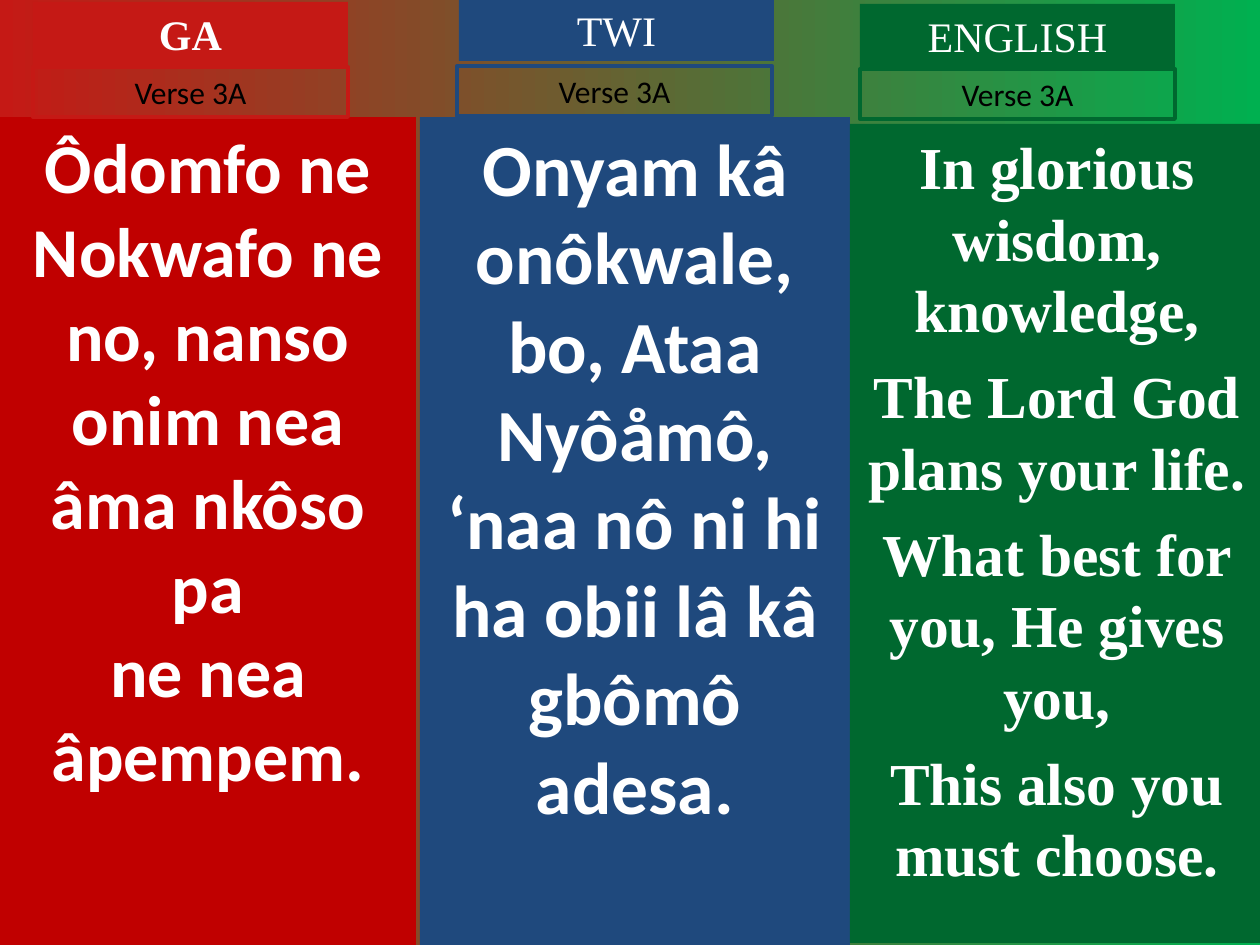
from pptx import Presentation
from pptx.dml.color import RGBColor
from pptx.enum.shapes import MSO_SHAPE
from pptx.enum.text import MSO_ANCHOR, PP_ALIGN
from pptx.util import Emu, Pt

RECTANGLE = MSO_SHAPE.RECTANGLE
TOP = MSO_ANCHOR.TOP
CENTER = PP_ALIGN.CENTER

EMU_PER_PX = 914400 / 126
BLANK_LAYOUT = 6
TAB_WIDTH = 315
TITLE_HEIGHT = 63
VERSE_HEIGHT = 50

WHITE = RGBColor(0xFF, 0xFF, 0xFF)
BLACK = RGBColor(0x00, 0x00, 0x00)
BRIGHT_RED = RGBColor(0xC5, 0x19, 0x15)
BRIGHT_GREEN = RGBColor(0x00, 0xB0, 0x50)
RED = RGBColor(0xC0, 0x00, 0x00)
BLUE = RGBColor(0x1F, 0x49, 0x7D)
GREEN = RGBColor(0x00, 0x68, 0x2F)

SANS = "Calibri"
SERIF = "Times New Roman"

GA_LYRICS = [
    "Ôdomfo ne Nokwafo ne no, nanso onim nea âma nkôso pa",
    "ne nea âpempem.",
]
TWI_LYRICS = [
    "Onyam kâ onôkwale,",
    "bo, Ataa Nyôåmô, ‘naa nô ni hi ha obii lâ kâ gbômô adesa.",
]
ENGLISH_LYRICS = [
    "In glorious wisdom, knowledge,",
    "The Lord God plans your life.",
    "What best for you, He gives you,",
    "This also you must choose.",
]


def px(length):
    """Turn pixels into EMU."""
    return Emu(round(length * EMU_PER_PX))


def paint_background(slide):
    """Fill the slide with a gradient from red to green."""
    fill = slide.background.fill
    fill.gradient()
    fill.gradient_angle = 0
    for stop, color, position in zip(fill.gradient_stops, (BRIGHT_RED, BRIGHT_GREEN), (0, 1)):
        stop.color.rgb = color
        stop.position = position


def add_box(slide, box, fill=None, line=None):
    """Add a rectangle with an optional fill and outline."""
    shape = slide.shapes.add_shape(RECTANGLE, *map(px, box))
    shape.shadow.inherit = False
    if fill is None:
        shape.fill.background()
    else:
        shape.fill.solid()
        shape.fill.fore_color.rgb = fill
    if line is None:
        shape.line.fill.background()
    else:
        shape.line.color.rgb = line
        shape.line.width = Pt(2.25)
    return shape


def write(shape, lines, font, size, color=WHITE, bold=False, gap=0):
    """Write centred paragraphs from the top of a shape."""
    frame = shape.text_frame
    frame.word_wrap = True
    frame.vertical_anchor = TOP
    for index, line in enumerate(lines):
        paragraph = frame.add_paragraph() if index else frame.paragraphs[0]
        paragraph.alignment = CENTER
        paragraph.space_before = Pt(gap if index else 0)
        run = paragraph.add_run()
        run.text = line
        run.font.name = font
        run.font.size = Pt(size)
        run.font.bold = bold
        run.font.color.rgb = color


def add_lyrics(slide, box, color, lines, font, size, gap=0):
    """Add a language's column of lyrics."""
    write(add_box(slide, box, fill=color), lines, font, size, bold=True, gap=gap)


def add_heading(slide, title, color, title_at, verse_at, bold=False):
    """Add a language name and the verse label below it."""
    title_box = add_box(slide, (*title_at, TAB_WIDTH, TITLE_HEIGHT), fill=color)
    write(title_box, [title], SERIF, 24, bold=bold)
    verse_box = add_box(slide, (*verse_at, TAB_WIDTH, VERSE_HEIGHT), line=color)
    write(verse_box, ["Verse 3A"], SANS, 18, color=BLACK)


def main():
    """Build the slide with three language columns."""
    presentation = Presentation()
    presentation.slide_width = px(1260)
    presentation.slide_height = px(945)
    slide = presentation.slides.add_slide(presentation.slide_layouts[BLANK_LAYOUT])
    paint_background(slide)

    add_lyrics(slide, (0, 117, 416, 828), RED, GA_LYRICS, SANS, 40)
    add_lyrics(slide, (420, 117, 430, 828), BLUE, TWI_LYRICS, SANS, 42)
    add_lyrics(slide, (850, 124, 414, 819), GREEN, ENGLISH_LYRICS, SERIF, 34, gap=8.5)

    add_heading(slide, "GA", BRIGHT_RED, (33, 2), (33, 67), bold=True)
    add_heading(slide, "TWI", BLUE, (459, -2), (457, 66))
    add_heading(slide, "ENGLISH", GREEN, (860, 4), (860, 69))

    presentation.save("out.pptx")


if __name__ == "__main__":
    main()
